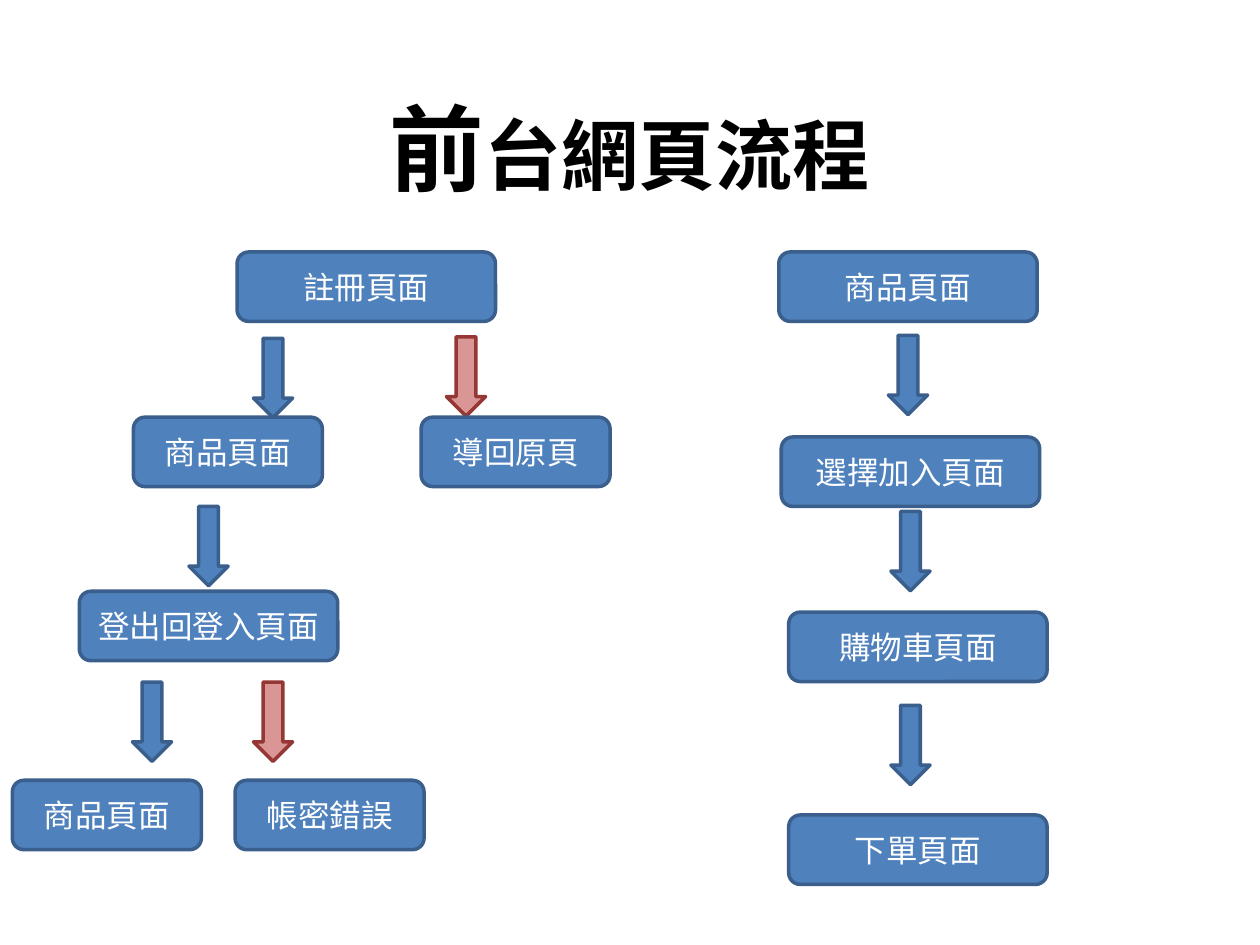
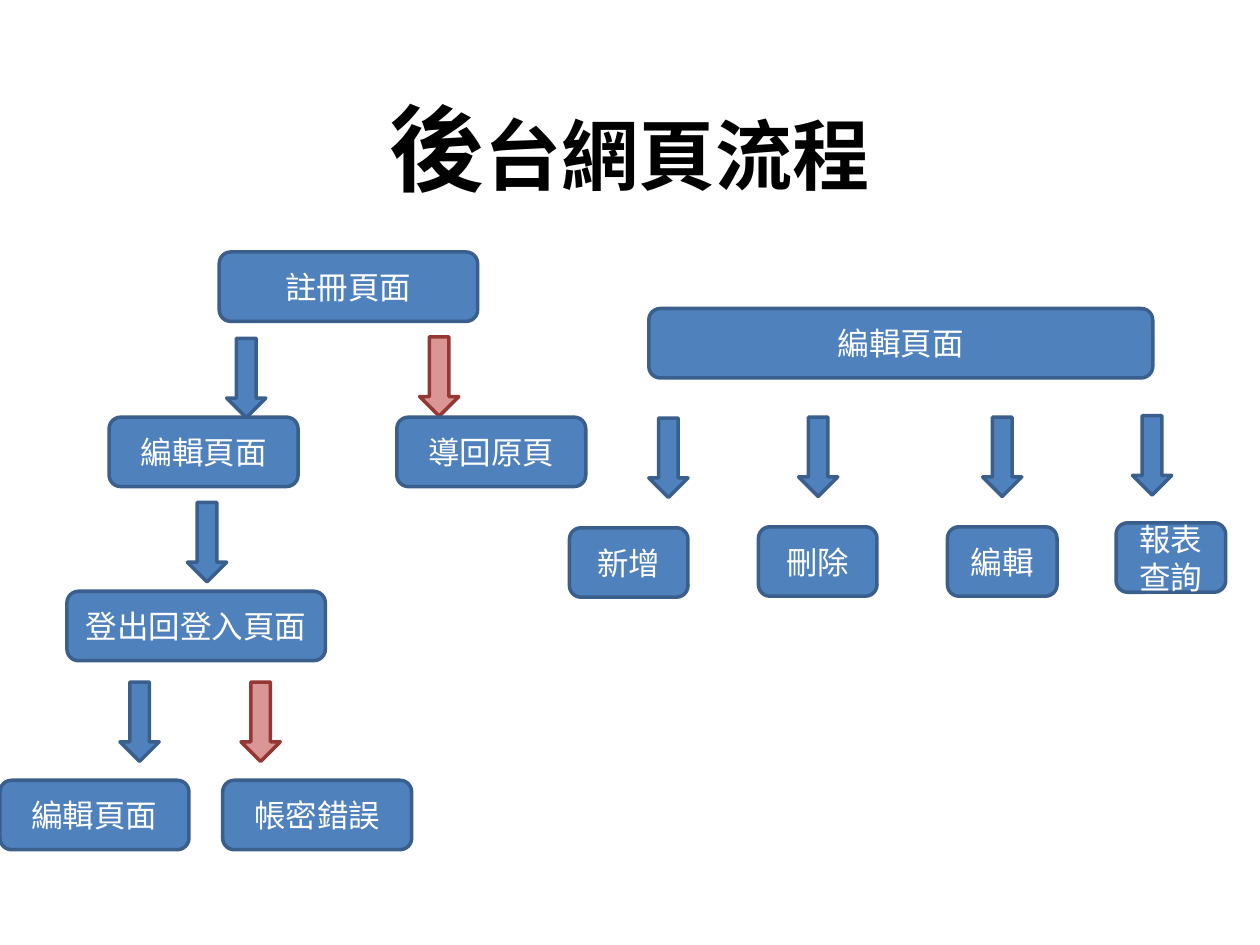
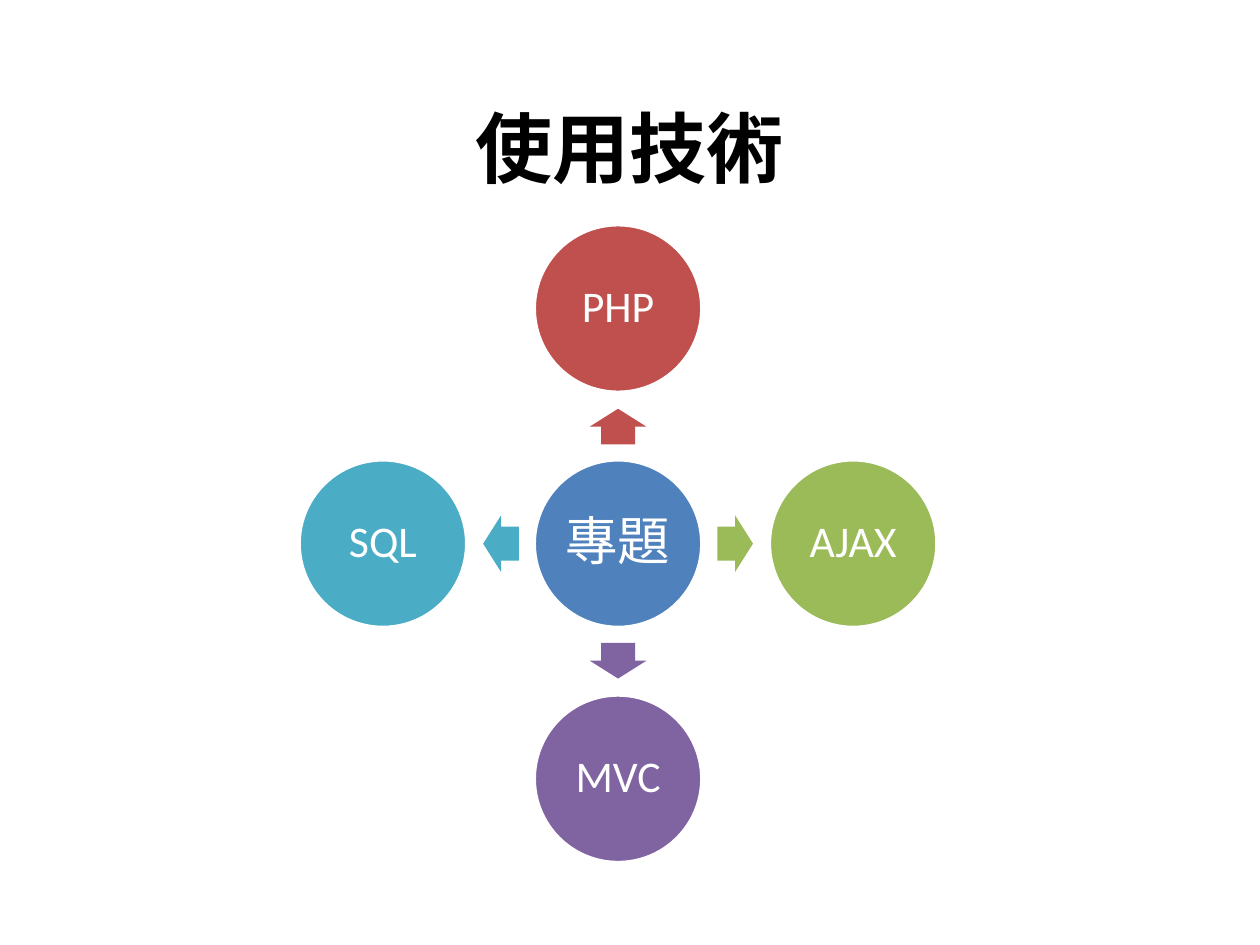
from dataclasses import dataclass

from pptx import Presentation
from pptx.dml.color import RGBColor
from pptx.enum.shapes import MSO_SHAPE as SHAPE
from pptx.enum.text import MSO_ANCHOR as ANCHOR, PP_ALIGN as ALIGN
from pptx.shapes.autoshape import Shape
from pptx.slide import Slide
from pptx.text.text import TextFrame
from pptx.util import Cm, Pt

FONT = "Calibri"
BLACK, WHITE = "000000", "FFFFFF"
BLUE, BLUE_EDGE = "4F81BD", "3A5F8C"
PINK, RED_EDGE = "D99694", "953735"
RED, GREEN, PURPLE, TEAL = "C0504D", "9BBB59", "8064A2", "4BACC6"

WIDE, MEDIUM, BOX_H = 5.21, 3.81, 1.4
ARROW_W, ARROW_H = 0.79, 1.6
TREE_ROWS = (5.08, 8.41, 11.92, 15.73)
BRANCH_GAP, LOGIN_GAP = 5.8, 4.49

HUB_X, HUB_Y = 12.46, 10.96
CIRCLE, ORBIT, ARROW_ORBIT = 3.38, 4.74, 2.36
SPOKE_W, SPOKE_H = 0.72, 1.14


@dataclass
class Box:
    """A labelled page box, in centimetres."""
    text: str
    x: float
    y: float
    w: float = WIDE


@dataclass
class Arrow:
    """A downward arrow, in centimetres; failed marks the error route."""
    x: float
    y: float
    failed: bool = False


@dataclass
class Tree:
    """Left edges of the sign-up tree and the page it leads to."""
    page: str
    start: float
    branch: float
    branch_arrow: float
    logout: float
    logout_arrow: float
    logout_arrow_y: float


@dataclass
class Spoke:
    """A technology around the hub, with its direction and angle."""
    text: str
    color: str
    dx: int
    dy: int
    angle: int


def rgb(color: str) -> RGBColor:
    """Turn a hex string into a colour."""
    return RGBColor.from_string(color)


def add_text(tf: TextFrame, text: str, *, size: float, color: str = WHITE,
             bold: bool = False, spacing: float = 1.0) -> None:
    """Append a centred run to the first paragraph of a frame."""
    tf.word_wrap = True
    tf.vertical_anchor = ANCHOR.MIDDLE
    p = tf.paragraphs[0]
    p.alignment = ALIGN.CENTER
    p.line_spacing = spacing
    r = p.add_run()
    r.text = text
    r.font.name = FONT
    r.font.size = Pt(size)
    r.font.bold = bold
    r.font.color.rgb = rgb(color)


def add_shape(s: Slide, kind: SHAPE, x: float, y: float, w: float, h: float,
              fill: str, line: str | None = None) -> Shape:
    """Draw a flat preset shape, with a 2 pt outline if a line colour is given."""
    sp = s.shapes.add_shape(kind, Cm(x), Cm(y), Cm(w), Cm(h))
    sp.shadow.inherit = False
    sp.fill.solid()
    sp.fill.fore_color.rgb = rgb(fill)
    if line:
        sp.line.color.rgb = rgb(line)
        sp.line.width = Pt(2)
    else:
        sp.line.fill.background()
    return sp


def add_centred(s: Slide, kind: SHAPE, cx: float, cy: float, w: float, h: float,
                fill: str, line: str | None = None) -> Shape:
    """Draw a shape around a centre point."""
    return add_shape(s, kind, cx - w / 2, cy - h / 2, w, h, fill, line)


def add_title(s: Slide, text: str, lead: str = "") -> None:
    """Write the slide title, with an optional larger lead character."""
    tf = s.shapes.add_textbox(Cm(1.9), Cm(0.91), Cm(21.59), Cm(4.09)).text_frame
    if lead:
        add_text(tf, lead, size=54, color=BLACK, bold=True)
    add_text(tf, text, size=44, color=BLACK, bold=True)


def add_flow(s: Slide, boxes: list[Box], arrows: list[Arrow]) -> None:
    """Draw the arrows of a flow chart, then its boxes."""
    for a in arrows:
        fill, line = (PINK, RED_EDGE) if a.failed else (BLUE, BLUE_EDGE)
        add_shape(s, SHAPE.DOWN_ARROW, a.x, a.y, ARROW_W, ARROW_H, fill, line)
    for b in boxes:
        sp = add_shape(s, SHAPE.ROUNDED_RECTANGLE, b.x, b.y, b.w, BOX_H, BLUE, BLUE_EDGE)
        add_text(sp.text_frame, b.text, size=18)


def add_tree(s: Slide, t: Tree) -> None:
    """Draw the sign-up, logout and login tree."""
    start_y, branch_y, logout_y, login_y = TREE_ROWS
    login_x, login_arrow = t.logout - 1.35, t.logout + 1.07
    boxes = [
        Box("註冊頁面", t.start, start_y),
        Box(t.page, t.branch, branch_y, MEDIUM),
        Box("導回原頁", t.branch + BRANCH_GAP, branch_y, MEDIUM),
        Box("登出回登入頁面", t.logout, logout_y),
        Box(t.page, login_x, login_y, MEDIUM),
        Box("帳密錯誤", login_x + LOGIN_GAP, login_y, MEDIUM),
    ]
    arrows = [
        Arrow(t.branch_arrow, 6.82),
        Arrow(t.branch_arrow + 3.89, 6.79, failed=True),
        Arrow(t.logout_arrow, t.logout_arrow_y),
        Arrow(login_arrow, 13.75),
        Arrow(login_arrow + 2.44, 13.75, failed=True),
    ]
    add_flow(s, boxes, arrows)


def add_circle(s: Slide, text: str, cx: float, cy: float, color: str, size: float) -> None:
    """Draw a labelled circle of the hub diagram."""
    tf = add_centred(s, SHAPE.OVAL, cx, cy, CIRCLE, CIRCLE, color, WHITE).text_frame
    tf.margin_left = tf.margin_right = tf.margin_top = tf.margin_bottom = Cm(0.08)
    add_text(tf, text, size=size, spacing=0.9)


def add_spoke(s: Slide, k: Spoke) -> None:
    """Draw an arrow leaving the hub and the circle it points to."""
    sp = add_centred(s, SHAPE.RIGHT_ARROW, HUB_X + k.dx * ARROW_ORBIT,
                     HUB_Y + k.dy * ARROW_ORBIT, SPOKE_W, SPOKE_H, k.color)
    sp.adjustments[0], sp.adjustments[1] = 0.6, 0.5
    sp.rotation = k.angle
    add_circle(s, k.text, HUB_X + k.dx * ORBIT, HUB_Y + k.dy * ORBIT, k.color, 25)


def front_slide(s: Slide) -> None:
    """Build the shop front flow."""
    add_title(s, "台網頁流程", lead="前")
    add_tree(s, Tree("商品頁面", 4.78, 2.69, 5.11, 1.6, 3.81, 10.21))
    boxes = [
        Box("商品頁面", 15.7, 5.08),
        Box("選擇加入頁面", 15.75, 8.81),
        Box("購物車頁面", 15.9, 12.34),
        Box("下單頁面", 15.9, 16.43),
    ]
    add_flow(s, boxes, [Arrow(17.91, 6.76), Arrow(17.96, 10.31), Arrow(17.96, 14.22)])


def back_slide(s: Slide) -> None:
    """Build the back office flow."""
    add_title(s, "台網頁流程", lead="後")
    add_tree(s, Tree("編輯頁面", 4.42, 2.2, 4.57, 1.35, 3.78, 10.13))
    boxes = [
        Box("編輯頁面", 13.08, 6.22, 10.16),
        Box("新增", 11.48, 10.64, 2.39),
        Box("刪除", 15.29, 10.62, 2.39),
        Box("編輯", 19.1, 10.62, 2.21),
        Box("報表查詢", 22.5, 10.54, 2.21),
    ]
    arrows = [Arrow(13.08, 8.43), Arrow(16.1, 8.41), Arrow(19.81, 8.41), Arrow(22.83, 8.38)]
    add_flow(s, boxes, arrows)


def technology_slide(s: Slide) -> None:
    """Build the hub of technologies."""
    add_title(s, "使用技術")
    add_circle(s, "專題", HUB_X, HUB_Y, BLUE, 30)
    for k in (
        Spoke("PHP", RED, 0, -1, 270),
        Spoke("AJAX", GREEN, 1, 0, 0),
        Spoke("MVC", PURPLE, 0, 1, 90),
        Spoke("SQL", TEAL, -1, 0, 180),
    ):
        add_spoke(s, k)


def main() -> None:
    """Build and save the presentation."""
    prs = Presentation()
    prs.slide_width, prs.slide_height = Cm(25.4), Cm(19.05)
    for build in (front_slide, back_slide, technology_slide):
        build(prs.slides.add_slide(prs.slide_layouts[6]))
    prs.save("out.pptx")


main()
